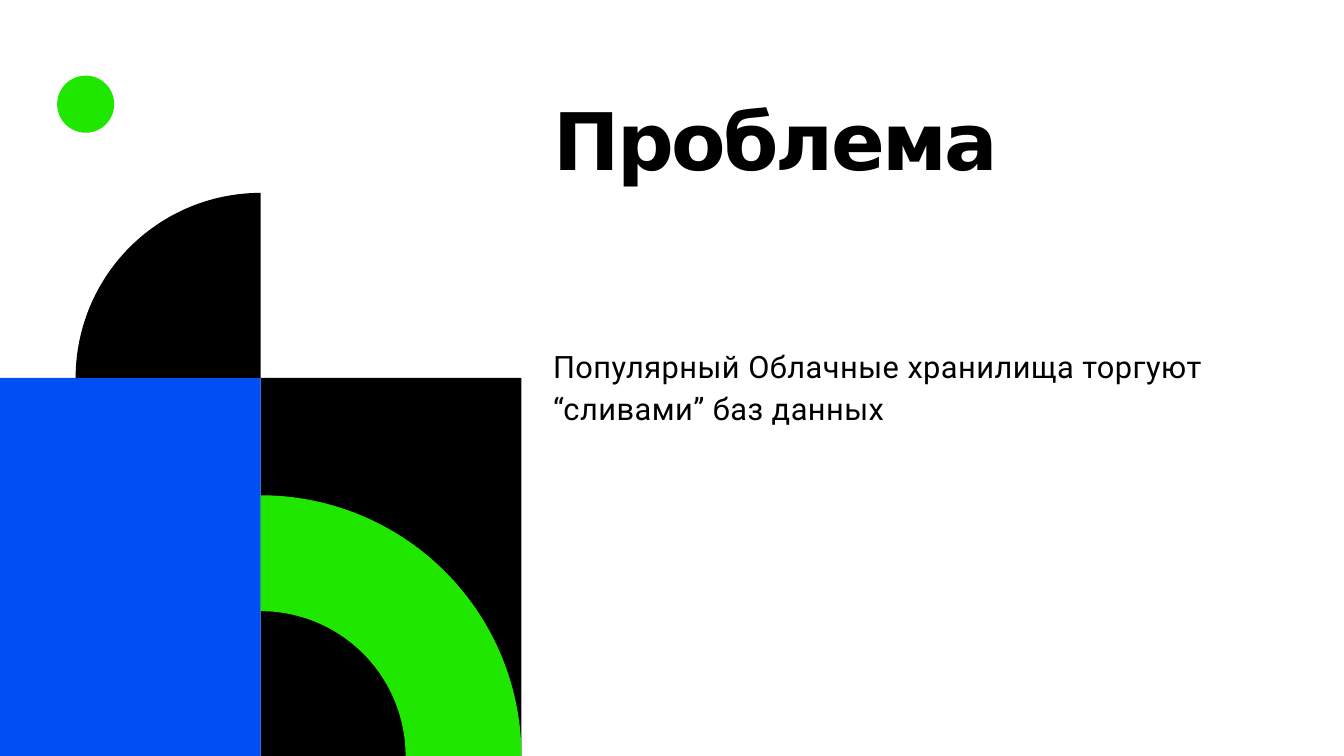
from math import cos, pi, sin

from pptx import Presentation
from pptx.dml.color import RGBColor
from pptx.enum.shapes import MSO_SHAPE as Preset
from pptx.enum.text import MSO_AUTO_SIZE as AutoSize
from pptx.util import Inches, Pt

BLACK = RGBColor(0x00, 0x00, 0x00)
BLUE = RGBColor(0x00, 0x4F, 0xF5)
GREEN = RGBColor(0x20, 0xE7, 0x00)

WIDTH, HEIGHT = Inches(20), Inches(11.25)
COLUMN, ROW = Inches(3.88), HEIGHT // 2
ARC_STEPS = 60


def paint(shape, color):
    shape.shadow.inherit = False
    shape.fill.solid()
    shape.fill.fore_color.rgb = color
    shape.line.fill.background()


def add_preset(shapes, preset, box, color):
    paint(shapes.add_shape(preset, *box), color)


def arc_points(center, radius, start, end):
    """Points of an arc; angles in quarter turns, counted clockwise from the right."""
    angles = [(start + (end - start) * i / ARC_STEPS) * pi / 2 for i in range(ARC_STEPS + 1)]
    return [(center[0] + radius * cos(a), center[1] + radius * sin(a)) for a in angles]


def add_outline(shapes, points, color):
    builder = shapes.build_freeform(*points[0], scale=1.0)
    builder.add_line_segments(points[1:], close=True)
    paint(builder.convert_to_shape(), color)


def add_artwork(slide, left, top, column, row):
    """Two tiles side by side, a quarter ring in the right one, a quarter disc above the left one."""
    shapes = slide.shapes.add_group_shape().shapes
    middle, bottom = left + column, top + row
    add_preset(shapes, Preset.RECTANGLE, (middle, top, column, row), BLACK)
    add_preset(shapes, Preset.RECTANGLE, (left, top, column, row), BLUE)

    ring_center = (middle, bottom)
    ring = (arc_points(ring_center, column, -1, 0)
            + arc_points(ring_center, column * 5 / 9, 0, -1))
    add_outline(shapes, ring, GREEN)

    disc_center = (middle, top)
    disc = [disc_center] + arc_points(disc_center, column * 0.71, -2, -1)
    add_outline(shapes, disc, BLACK)


def add_text(slide, box, text, font_name, size, spacing, inset=0, indent=0, bold=False, line_spacing=None):
    frame = slide.shapes.add_textbox(*box).text_frame
    frame.word_wrap = True
    frame.auto_size = AutoSize.SHAPE_TO_FIT_TEXT
    frame.margin_left = frame.margin_right = frame.margin_bottom = 0
    frame.margin_top = inset
    paragraph = frame.paragraphs[0]
    paragraph.text = text
    paragraph.space_before = Pt(1)
    paragraph.line_spacing = line_spacing
    font = paragraph.font
    font.name, font.size, font.bold = font_name, Pt(size), bold
    font.color.rgb = BLACK
    paragraph.runs[0].font._element.set("spc", str(round(spacing * 100)))
    paragraph._p.get_or_add_pPr().set("marL", str(indent))


def add_message(slide, width, height):
    title_box = [Inches(1.63), Inches(1.14), Inches(16.75), Inches(1.64)]
    add_text(slide, title_box, "Проблема", "DejaVu Sans", 85, -2.9,
             inset=Inches(0.21), indent=Inches(6.61), bold=True)
    body_box = [int(width * 0.411), Inches(5.07), Inches(10.67), int(height / 9)]
    add_text(slide, body_box, "Популярный Облачные хранилища торгуют “сливами” баз данных",
             "Roboto", 33, 0.5, inset=Inches(0.01), indent=Inches(0.01), line_spacing=1.16)


def main():
    presentation = Presentation()
    presentation.slide_width, presentation.slide_height = WIDTH, HEIGHT
    slide = presentation.slides.add_slide(presentation.slide_layouts[6])
    add_artwork(slide, 0, HEIGHT - ROW, COLUMN, ROW)
    dot = Inches(0.85)
    add_preset(slide.shapes, Preset.OVAL, (dot, HEIGHT // 10, dot, dot), GREEN)
    add_message(slide, WIDTH, HEIGHT)
    presentation.save("out.pptx")


if __name__ == "__main__":
    main()
